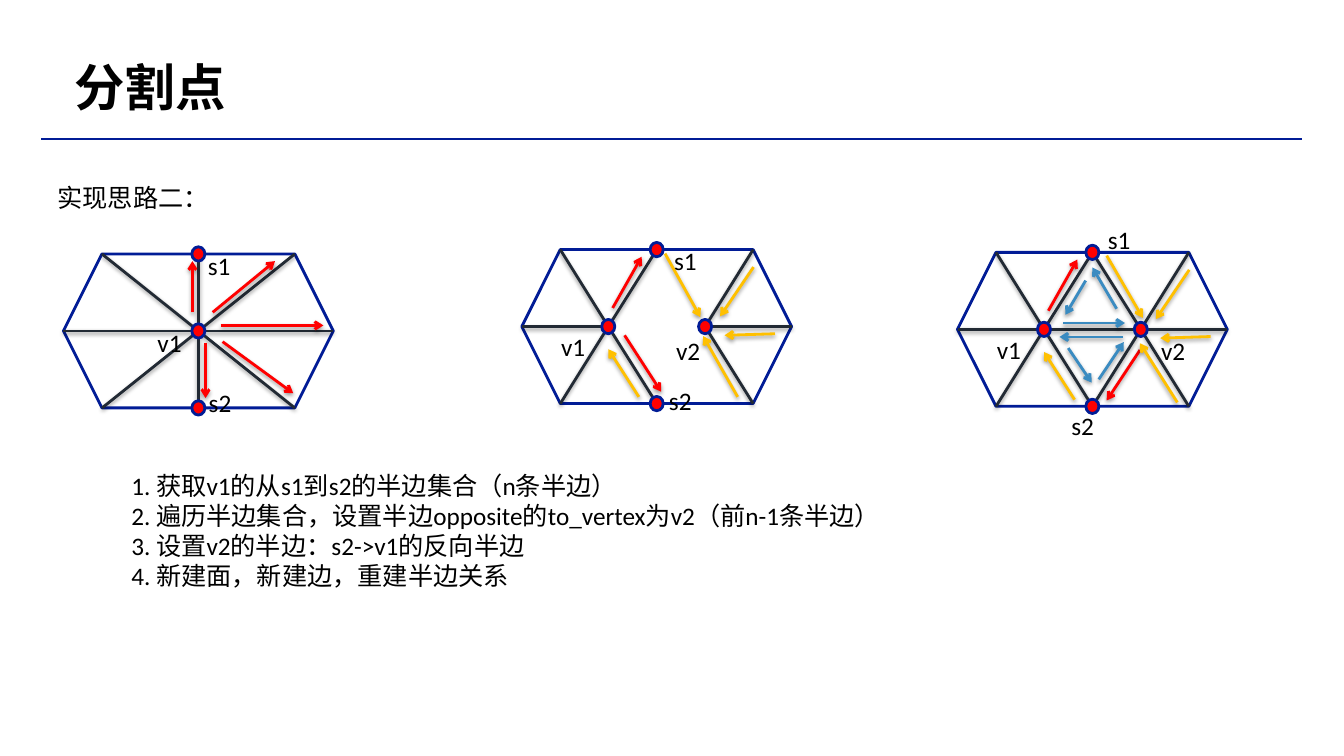
from lxml import etree
from pptx import Presentation
from pptx.dml.color import RGBColor
from pptx.enum.shapes import MSO_CONNECTOR, MSO_SHAPE
from pptx.oxml.ns import qn
from pptx.util import Cm, Pt

STRAIGHT = MSO_CONNECTOR.STRAIGHT
HEXAGON = MSO_SHAPE.HEXAGON
OVAL = MSO_SHAPE.OVAL

NAVY, DARK, RED, GOLD, BLUE, BLACK = "011C96", "222A34", "FF0000", "FFC000", "3A8BC1", "000000"
FONT = "Calibri"
MESH_W, MESH_H = 6.8, 3.88
INSET = MESH_H / 4
DOT_W, DOT_H = 0.33, 0.36
LABEL_W, LABEL_H = 1.1, 0.85

CORNERS = {
    "nw": (INSET, 0),
    "ne": (MESH_W - INSET, 0),
    "w": (0, MESH_H / 2),
    "e": (MESH_W, MESH_H / 2),
    "sw": (INSET, MESH_H),
    "se": (MESH_W - INSET, MESH_H),
    "s1": (MESH_W / 2, 0),
    "s2": (MESH_W / 2, MESH_H),
}
JOINED = {**CORNERS, "v1": (MESH_W / 2, MESH_H / 2)}
SPLIT = {**CORNERS, "v1": (2.18, MESH_H / 2), "v2": (4.62, MESH_H / 2)}

JOINED_EDGES = [("v1", corner) for corner in CORNERS]
SPLIT_EDGES = [("v1", corner) for corner in ("nw", "w", "sw", "s1", "s2")]
SPLIT_EDGES += [("v2", corner) for corner in ("ne", "e", "se")]
FILLED_EDGES = SPLIT_EDGES + [("v2", "s1"), ("v2", "s2"), ("v1", "v2")]

KEPT_HALFEDGES = [
    (RED, 2.29, 1.47, 3.02, 0.18),
    (GOLD, 5.84, 0.44, 5.0, 1.68),
    (GOLD, 6.38, 2.12, 5.11, 2.16),
    (GOLD, 2.95, 3.71, 2.18, 2.51),
]

MESHES = [
    {
        "origin": (1.6, 6.4),
        "vertices": JOINED,
        "edges": JOINED_EDGES,
        "labels": {"s1": (3.51, -0.23), "s2": (3.53, 3.23), "v1": (2.24, 1.73)},
        "halfedges": [
            (RED, 3.25, 1.47, 3.25, 0.18),
            (RED, 3.76, 1.47, 5.33, 0.18),
            (RED, 3.96, 1.8, 6.55, 1.8),
            (RED, 4.01, 2.21, 5.79, 3.51),
            (RED, 3.58, 2.24, 3.58, 3.63),
        ],
    },
    {
        "origin": (13.15, 6.29),
        "vertices": SPLIT,
        "edges": SPLIT_EDGES,
        "labels": {"s1": (3.71, -0.23), "s2": (3.58, 3.3), "v1": (0.86, 1.93), "v2": (3.76, 2.03)},
        "halfedges": KEPT_HALFEDGES + [
            (RED, 2.59, 2.16, 3.51, 3.58),
            (GOLD, 3.61, 0.1, 4.5, 1.7),
            (GOLD, 5.44, 3.71, 4.57, 2.18),
        ],
    },
    {
        "origin": (24.13, 6.36),
        "vertices": SPLIT,
        "edges": FILLED_EDGES,
        "labels": {"s1": (3.66, -0.84), "s2": (2.74, 3.84), "v1": (0.86, 1.93), "v2": (5.0, 1.96)},
        "halfedges": KEPT_HALFEDGES + [
            (RED, 4.6, 2.46, 3.76, 3.73),
            (GOLD, 3.76, 0.08, 4.67, 1.65),
            (GOLD, 5.54, 3.78, 4.6, 2.29),
            (BLUE, 2.67, 1.78, 4.22, 1.78),
            (BLUE, 4.01, 1.42, 3.4, 0.38),
            (BLUE, 3.23, 0.71, 2.72, 1.57),
            (BLUE, 4.17, 2.13, 2.57, 2.13),
            (BLUE, 3.56, 3.2, 4.19, 2.26),
            (BLUE, 2.79, 2.41, 3.38, 3.28),
        ],
    },
]

STEPS = [
    "1. 获取v1的从s1到s2的半边集合（n条半边）",
    "2. 遍历半边集合，设置半边opposite的to_vertex为v2（前n-1条半边）",
    "3. 设置v2的半边：s2->v1的反向半边",
    "4. 新建面，新建边，重建半边关系",
]


def color(value):
    return RGBColor.from_string(value)


def add_text(slide, left, top, width, height, lines, size=18, bold=False, spacing=None):
    box = slide.shapes.add_textbox(Cm(left), Cm(top), Cm(width), Cm(height))
    frame = box.text_frame
    frame.word_wrap = True
    frame.margin_left = frame.margin_right = Cm(0.13)
    frame.margin_top = frame.margin_bottom = Cm(0.13)
    for index, line in enumerate(lines):
        paragraph = frame.add_paragraph() if index else frame.paragraphs[0]
        paragraph.line_spacing = spacing
        run = paragraph.add_run()
        run.text = line
        run.font.name = FONT
        run.font.size = Pt(size)
        run.font.bold = bold
        run.font.color.rgb = color(BLACK)


def add_line(slide, start, end, stroke, weight=2, arrow=False, shadow=True):
    line = slide.shapes.add_connector(STRAIGHT, *[Cm(value) for value in (*start, *end)])
    line.line.color.rgb = color(stroke)
    line.line.width = Pt(weight)
    if arrow:
        etree.SubElement(line.line._get_or_add_ln(), qn("a:tailEnd"), type="arrow")
    effects = etree.SubElement(line._element.spPr, qn("a:effectLst"))
    if shadow:
        outer = etree.SubElement(
            effects, qn("a:outerShdw"), blurRad=str(Pt(3)), dist=str(Pt(1.6)),
            dir="5400000", rotWithShape="0",
        )
        black = etree.SubElement(outer, qn("a:srgbClr"), val=BLACK)
        etree.SubElement(black, qn("a:alpha"), val="38000")


def add_outline(slide, kind, left, top, width, height, fill=None):
    shape = slide.shapes.add_shape(kind, Cm(left), Cm(top), Cm(width), Cm(height))
    shape.shadow.inherit = False
    if fill:
        shape.fill.solid()
        shape.fill.fore_color.rgb = color(fill)
    else:
        shape.fill.background()
    shape.line.color.rgb = color(NAVY)
    shape.line.width = Pt(2)


def add_mesh(slide, origin, vertices, edges, labels, halfedges):
    def place(x, y):
        return origin[0] + x, origin[1] + y

    add_outline(slide, HEXAGON, *origin, MESH_W, MESH_H)
    for start, end in edges:
        add_line(slide, place(*vertices[start]), place(*vertices[end]), DARK)
    for stroke, x1, y1, x2, y2 in halfedges:
        add_line(slide, place(x1, y1), place(x2, y2), stroke, arrow=True)
    for name, (x, y) in labels.items():
        center_x, center_y = place(*vertices[name])
        add_outline(slide, OVAL, center_x - DOT_W / 2, center_y - DOT_H / 2, DOT_W, DOT_H, RED)
        add_text(slide, *place(x, y), LABEL_W, LABEL_H, [name])


def main():
    deck = Presentation()
    deck.slide_width, deck.slide_height = Cm(33.87), Cm(19.05)
    slide = deck.slides.add_slide(deck.slide_layouts[6])
    add_line(slide, (1.04, 3.51), (32.82, 3.51), NAVY, weight=1.5, shadow=False)
    add_text(slide, 1.75, 1.47, 19.38, 1.68, ["分割点"], size=36, bold=True, spacing=0.9)
    add_text(slide, 1.32, 4.47, 9.83, 1.02, ["实现思路二："])
    for mesh in MESHES:
        add_mesh(slide, **mesh)
    add_text(slide, 3.18, 11.71, 24.54, 3.33, STEPS)
    deck.save("out.pptx")


if __name__ == "__main__":
    main()
